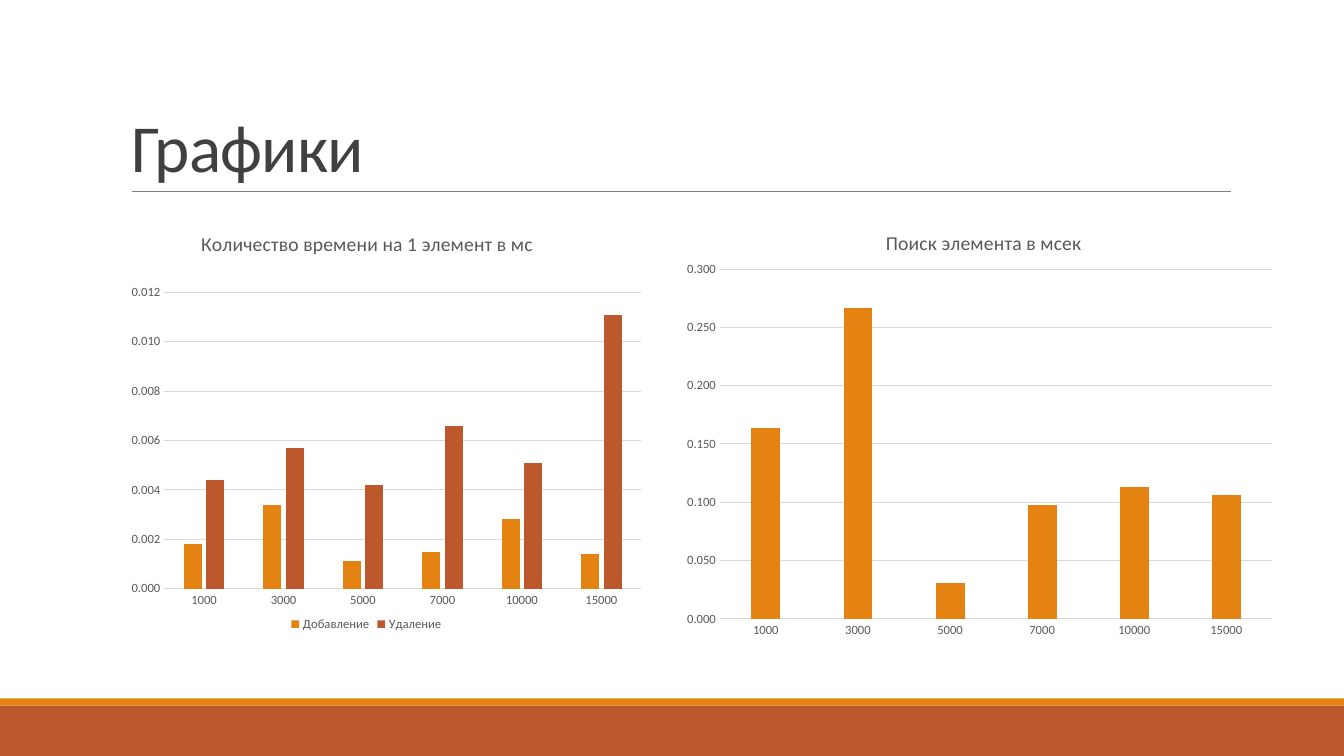
import pptx
import pptx.chart.data
import pptx.dml.color
import pptx.enum.chart
import pptx.enum.shapes
import pptx.enum.text
import pptx.oxml
import pptx.oxml.ns
import pptx.util

Inches = pptx.util.Inches
Pt = pptx.util.Pt
RGBColor = pptx.dml.color.RGBColor

ORANGE = RGBColor(0xE4, 0x83, 0x12)
RUST = RGBColor(0xBD, 0x58, 0x2C)
RULE_GRAY = RGBColor(0x80, 0x80, 0x80)
TITLE_GRAY = RGBColor(0x40, 0x40, 0x40)
TEXT_GRAY = RGBColor(0x59, 0x59, 0x59)
GRID_GRAY = RGBColor(0xD9, 0xD9, 0xD9)

TITLE = "Графики"
SIZES = ["1000", "3000", "5000", "7000", "10000", "15000"]
BANDS = [(7, 0.5, RUST), (6.93, 0.07, ORANGE)]
CHART_TOP, CHART_HEIGHT = 2.02, 4.4
CHARTS = [
    {
        "title": "Количество времени на 1 элемент в мс",
        "left": 1.2, "width": 5.27,
        "title_at": (1.96, 2.25), "plot_at": (1.63, 2.9, 4.73, 2.94), "legend_at": (2.85, 6.08),
        "maximum": 0.012, "step": 0.002,
        "series": [
            ("Добавление", [0.0018, 0.0034, 0.0011, 0.0015, 0.0028, 0.0014], ORANGE),
            ("Удаление", [0.0044, 0.0057, 0.0042, 0.0066, 0.0051, 0.0111], RUST),
        ],
    },
    {
        "title": "Поиск элемента в мсек",
        "left": 6.7, "width": 6.04,
        "title_at": (8.75, 2.24), "plot_at": (7.14, 2.67, 5.48, 3.47), "legend_at": None,
        "maximum": 0.3, "step": 0.05,
        "series": [("Series 1", [0.164, 0.267, 0.031, 0.098, 0.113, 0.106], ORANGE)],
    },
]


def apply(target, values):
    for name, value in values.items():
        setattr(target, name, value)


def style_font(font, size, color):
    apply(font, {"name": "Calibri", "size": Pt(size), "bold": False})
    font.color.rgb = color


def style_line(line, color, width):
    line.color.rgb = color
    line.width = Pt(width)


def add_band(page, top, height, color):
    band = page.shapes.add_shape(
        pptx.enum.shapes.MSO_SHAPE.RECTANGLE, 0, Inches(top), deck.slide_width, Inches(height))
    band.shadow.inherit = False
    band.fill.solid()
    band.fill.fore_color.rgb = color
    band.line.fill.background()


def add_rule(page):
    rule = page.shapes.add_connector(
        pptx.enum.shapes.MSO_CONNECTOR.STRAIGHT, Inches(1.31), Inches(1.9), Inches(12.21), Inches(1.9))
    style_line(rule.line, RULE_GRAY, 0.5)
    properties = rule._element.spPr
    properties.append(pptx.oxml.parse_xml(
        f'<a:effectLst {pptx.oxml.ns.nsdecls("a")}/>'))


def add_title(page):
    box = page.shapes.title
    apply(box, {"left": Inches(1.2), "top": Inches(0.31), "width": Inches(11), "height": Inches(1.59)})
    apply(box.text_frame, {
        "text": TITLE, "word_wrap": True,
        "vertical_anchor": pptx.enum.text.MSO_ANCHOR.BOTTOM,
        "auto_size": pptx.enum.text.MSO_AUTO_SIZE.NONE})
    para = box.text_frame.paragraphs[0]
    apply(para, {"alignment": pptx.enum.text.PP_ALIGN.LEFT, "line_spacing": 0.85})
    span = para.runs[0]
    style_font(span.font, 48, TITLE_GRAY)
    span._r.get_or_add_rPr().set("spc", "-50")


def place(element, index, entry, area):
    for old in element.findall(pptx.oxml.ns.qn("c:layout")):
        element.remove(old)
    left, top, *extent = area
    fractions = [(left - entry["left"]) / entry["width"], (top - CHART_TOP) / CHART_HEIGHT]
    fractions += [part / whole for part, whole in zip(extent, (entry["width"], CHART_HEIGHT))]
    target = '<c:layoutTarget val="inner"/>' if extent else ""
    modes = '<c:xMode val="edge"/><c:yMode val="edge"/>'
    numbers = "".join(f'<c:{key} val="{value:.4f}"/>' for key, value in zip("xywh", fractions))
    element.insert(index, pptx.oxml.parse_xml(
        f'<c:layout {pptx.oxml.ns.nsdecls("c")}><c:manualLayout>'
        f'{target}{modes}{numbers}</c:manualLayout></c:layout>'))


def style_axes(chart, entry):
    for axis in (chart.category_axis, chart.value_axis):
        apply(axis, {
            "major_tick_mark": pptx.enum.chart.XL_TICK_MARK.NONE,
            "minor_tick_mark": pptx.enum.chart.XL_TICK_MARK.NONE})
        style_font(axis.tick_labels.font, 9, TEXT_GRAY)
    style_line(chart.category_axis.format.line, GRID_GRAY, 0.75)
    values = chart.value_axis
    apply(values, {
        "minimum_scale": 0, "maximum_scale": entry["maximum"],
        "major_unit": entry["step"], "has_major_gridlines": True})
    style_line(values.major_gridlines.format.line, GRID_GRAY, 0.75)
    values.format.line.fill.background()
    apply(values.tick_labels, {"number_format": "0.000", "number_format_is_linked": False})


def add_chart(page, entry):
    data = pptx.chart.data.CategoryChartData(number_format="0.000")
    data.categories = SIZES
    for name, values, color in entry["series"]:
        data.add_series(name, values)
    chart = page.shapes.add_chart(
        pptx.enum.chart.XL_CHART_TYPE.COLUMN_CLUSTERED, Inches(entry["left"]), Inches(CHART_TOP),
        Inches(entry["width"]), Inches(CHART_HEIGHT), data).chart
    style_font(chart.font, 10, RGBColor(0, 0, 0))
    apply(chart, {"has_title": True, "has_legend": entry["legend_at"] is not None})

    heading = chart.chart_title
    heading.text_frame.text = entry["title"]
    style_font(heading.text_frame.paragraphs[0].runs[0].font, 14, TEXT_GRAY)
    place(heading._element, 1, entry, entry["title_at"])

    plot = chart.plots[0]
    apply(plot, {"gap_width": 219, "overlap": -27, "vary_by_categories": False})
    for series, (name, values, color) in zip(plot.series, entry["series"]):
        series.format.fill.solid()
        series.format.fill.fore_color.rgb = color
    style_axes(chart, entry)
    place(chart._chartSpace.chart.plotArea, 0, entry, entry["plot_at"])

    if chart.has_legend:
        apply(chart.legend, {
            "position": pptx.enum.chart.XL_LEGEND_POSITION.BOTTOM, "include_in_layout": False})
        style_font(chart.legend.font, 9, TEXT_GRAY)
        place(chart.legend._element, 1, entry, entry["legend_at"])


deck = pptx.Presentation()
apply(deck, {"slide_width": Inches(13.33), "slide_height": Inches(7.5)})
page = deck.slides.add_slide(deck.slide_layouts[5])
for band in BANDS:
    add_band(page, *band)
add_rule(page)
add_title(page)
for entry in CHARTS:
    add_chart(page, entry)
deck.save("out.pptx")
